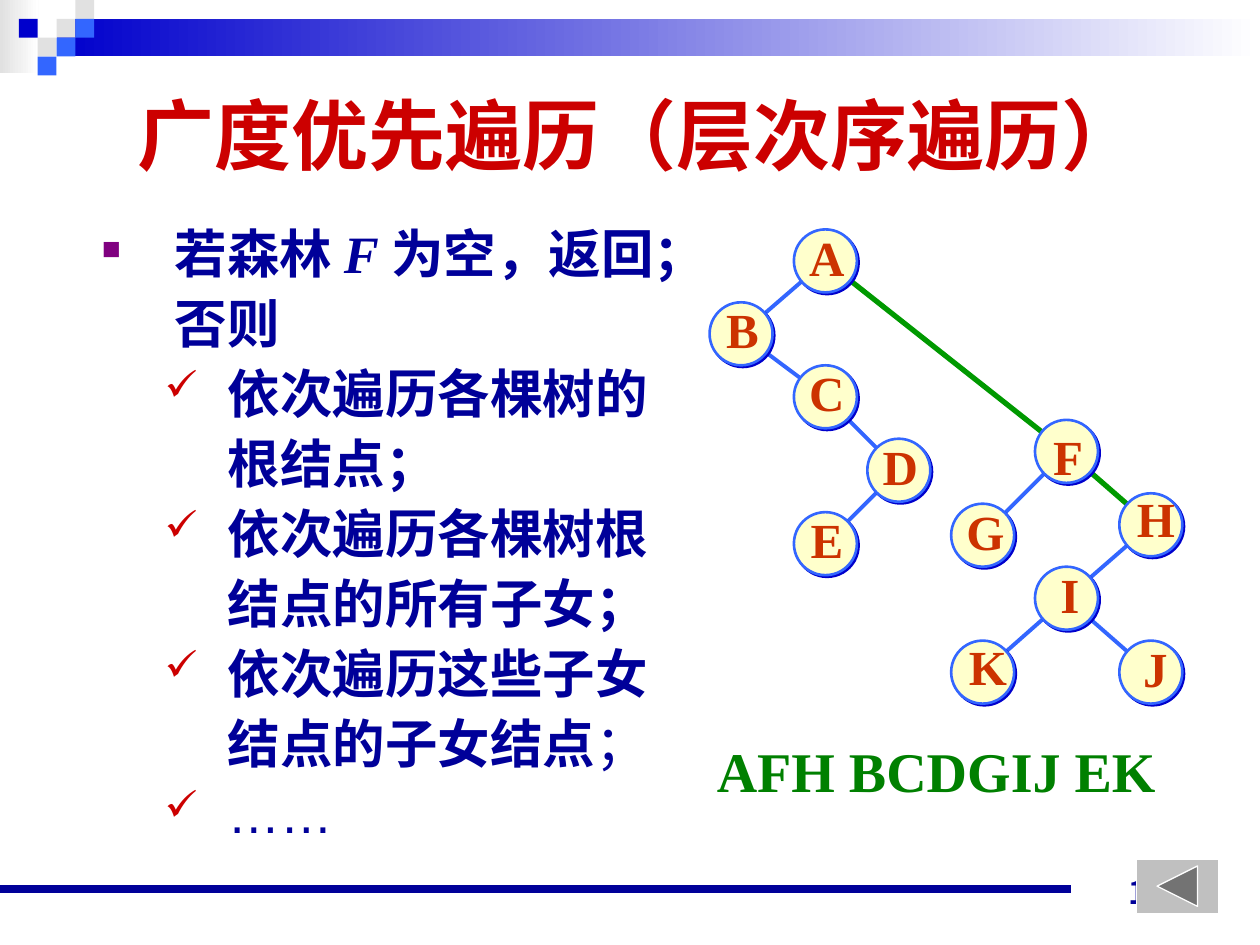
from lxml.etree import SubElement
from pptx import Presentation
from pptx.dml.color import RGBColor
from pptx.enum.shapes import MSO_CONNECTOR as Connector, MSO_SHAPE as Shape
from pptx.enum.text import MSO_ANCHOR as Anchor, PP_ALIGN as Align
from pptx.oxml.ns import qn
from pptx.util import Cm, Pt

color = RGBColor.from_string
NAVY, BLUE, SKY, GRAY = "000099", "0000CC", "3366FF", "E1E1E1"
SERIF, CJK = "Times New Roman", "Noto Sans CJK JP"

presentation = Presentation()
presentation.slide_width, presentation.slide_height = Cm(25.4), Cm(19.05)
slide = presentation.slides.add_slide(presentation.slide_layouts[6])
shapes = slide.shapes


def style(paragraph, size, name, hex_color, bold=True):
    font = paragraph.font
    font.size, font.name, font.bold = Pt(size), name, bold
    font.color.rgb = color(hex_color)
    defaults = paragraph._p.pPr.find(qn("a:defRPr"))
    SubElement(defaults, qn("a:ea")).set("typeface", CJK)


def add_line(start, end, hex_color, width):
    line = shapes.add_connector(Connector.STRAIGHT, *map(Cm, start + end))
    line.line.color.rgb = color(hex_color)
    line.line.width = Pt(width)
    SubElement(line._element.spPr, qn("a:effectLst"))


# Header bands, fading to white
for left, top, width, height, start_color in [
    (0, 0, 0.78, 1.48, GRAY),
    (1.14, 0.38, 24.26, 0.76, BLUE),
]:
    band = shapes.add_shape(Shape.RECTANGLE, Cm(left), Cm(top), Cm(width), Cm(height))
    band.shadow.inherit = False
    band.line.fill.background()
    band.fill.gradient()
    band.fill.gradient_angle = 0
    for stop, stop_color in zip(band.fill.gradient_stops, (start_color, "FFFFFF")):
        stop.color.rgb = color(stop_color)

# Header mosaic: column, row, colour
TILE = 0.38
for column, row, tile_color in [
    (3, 1, GRAY), (4, 0, GRAY), (4, 1, SKY), (2, 2, GRAY),
    (1, 1, BLUE), (3, 2, SKY), (2, 3, SKY),
]:
    tile = shapes.add_shape(
        Shape.RECTANGLE, Cm(column * TILE), Cm(row * TILE), Cm(TILE), Cm(TILE))
    tile.shadow.inherit = False
    tile.fill.solid()
    tile.fill.fore_color.rgb = color(tile_color)
    tile.line.fill.background()

# Footer rule
add_line((0, 17.93), (21.59, 17.93), NAVY, 4.5)

# Page number, title and traversal result
for text, left, top, width, height, anchor, align, size, name, text_color in [
    ("136", 18.21, 17.22, 5.92, 1.27, Anchor.BOTTOM, Align.RIGHT, 18, CJK, NAVY),
    ("广度优先遍历（层次序遍历）", 1.45, 1.17, 22.86, 3.05,
     Anchor.MIDDLE, Align.CENTER, 44, "Arial", "CC0000"),
    ("AFH BCDGIJ EK", 14.2, 14.73, 9.63, 1.63,
     Anchor.TOP, Align.LEFT, 32, SERIF, "008000"),
]:
    frame = shapes.add_textbox(Cm(left), Cm(top), Cm(width), Cm(height)).text_frame
    frame.word_wrap = True
    frame.vertical_anchor = anchor
    paragraph = frame.paragraphs[0]
    paragraph.text = text
    paragraph.alignment = align
    style(paragraph, size, name, text_color)

# Back button
button = shapes.add_shape(
    Shape.ACTION_BUTTON_BACK_OR_PREVIOUS, Cm(22.91), Cm(17.32), Cm(1.65), Cm(1.09))
button.shadow.inherit = False
button.fill.solid()
button.fill.fore_color.rgb = color("C0C0C0")
button.line.color.rgb = color("FFFFFF")
button.line.width = Pt(0)

# Tree: node centres, edges behind the nodes
nodes = {
    "A": (16.64, 5.26), "B": (14.94, 6.73), "C": (16.64, 8), "D": (18.12, 9.48),
    "E": (16.64, 10.96), "F": (21.5, 9.1), "G": (19.81, 10.79), "H": (23.2, 10.58),
    "I": (21.5, 12.06), "K": (19.81, 13.55), "J": (23.2, 13.55),
}
label_shifts = {"F": (0.03, 0.09), "H": (0.08, -0.14), "I": (0.07, -0.09),
                "K": (0.08, -0.12), "J": (0.09, -0.09)}
for parent, child in ["AB", "BC", "CD", "DE", "FG", "HI", "IK", "IJ"]:
    add_line(nodes[parent], nodes[child], SKY, 2.25)
for parent, child in ["AF", "FH"]:
    add_line(nodes[parent], nodes[child], "009900", 3)

DIAMETER, LABEL_WIDTH, LABEL_HEIGHT = 1.27, 1.22, 1.45
for letter, (x, y) in nodes.items():
    node = shapes.add_shape(
        Shape.OVAL, Cm(x - DIAMETER / 2), Cm(y - DIAMETER / 2), Cm(DIAMETER), Cm(DIAMETER))
    node.fill.solid()
    node.fill.fore_color.rgb = color("FFFFCC")
    node.line.color.rgb = color(SKY)
    node.line.width = Pt(1.5)
    node.shadow.inherit = False
    effects = node._element.spPr.find(qn("a:effectLst"))
    shadow = SubElement(effects, qn("a:outerShdw"), dist=str(Pt(1.4)), dir="2700000")
    SubElement(shadow, qn("a:srgbClr"), val=BLUE)

    shift_x, shift_y = label_shifts.get(letter, (0.03, -0.09))
    frame = shapes.add_textbox(
        Cm(x + shift_x - LABEL_WIDTH / 2), Cm(y + shift_y - LABEL_HEIGHT / 2),
        Cm(LABEL_WIDTH), Cm(LABEL_HEIGHT)).text_frame
    frame.word_wrap = False
    frame.vertical_anchor = Anchor.MIDDLE
    paragraph = frame.paragraphs[0]
    paragraph.text = letter
    paragraph.alignment = Align.CENTER
    style(paragraph, 28, SERIF, "CC3300")

# Algorithm steps: level, bulleted, text runs
steps = [
    (0, True, ["若森林 ", "F ", "为空，返回；"]),
    (0, False, ["否则"]),
    (1, True, ["依次遍历各棵树的"]),
    (1, False, ["根结点；"]),
    (1, True, ["依次遍历各棵树根"]),
    (1, False, ["结点的所有子女；"]),
    (1, True, ["依次遍历这些子女"]),
    (1, False, ["结点的子女结点", "；"]),
    (1, True, ["……"]),
]
# Per level: left margin, hanging indent, bullet, its colour and size
levels = [(1.47, 1.47, "■", "800080", 50), (2.54, 1.27, "✓", "CC0000", 80)]
frame = shapes.add_textbox(Cm(1.8), Cm(4.32), Cm(13.67), Cm(12.8)).text_frame
frame.word_wrap = True
frame.margin_top = 0
for index, (level, bulleted, texts) in enumerate(steps):
    paragraph = frame.add_paragraph() if index else frame.paragraphs[0]
    margin, hanging, bullet, bullet_color, bullet_size = levels[level]
    paragraph.level = level
    paragraph.line_spacing = Pt(40)
    properties = paragraph._p.get_or_add_pPr()
    properties.set("marL", str(Cm(margin)))
    properties.set("indent", str(-Cm(hanging) if bulleted else 0))
    if bulleted:
        bullet_fill = SubElement(properties, qn("a:buClr"))
        SubElement(bullet_fill, qn("a:srgbClr"), val=bullet_color)
        SubElement(properties, qn("a:buSzPct"), val=str(bullet_size * 1000))
        SubElement(properties, qn("a:buChar"), char=bullet)
    ellipsis = texts == ["……"]
    style(paragraph, 30, "Arial" if ellipsis else SERIF, NAVY, bold=not ellipsis)
    for text in texts:
        run = paragraph.add_run()
        run.text = text
        if text == "F ":
            run.font.italic = True
        elif text == "；":
            run.font.bold = False

presentation.save("out.pptx")
